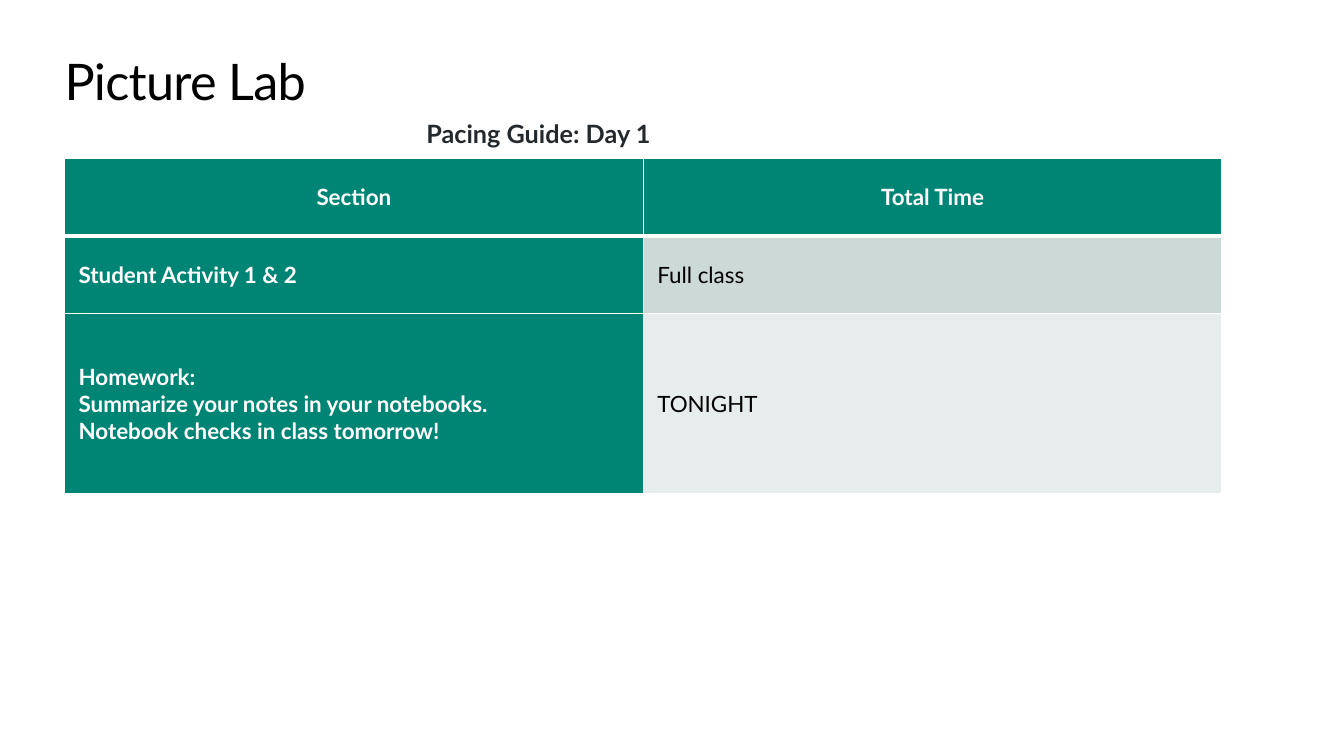
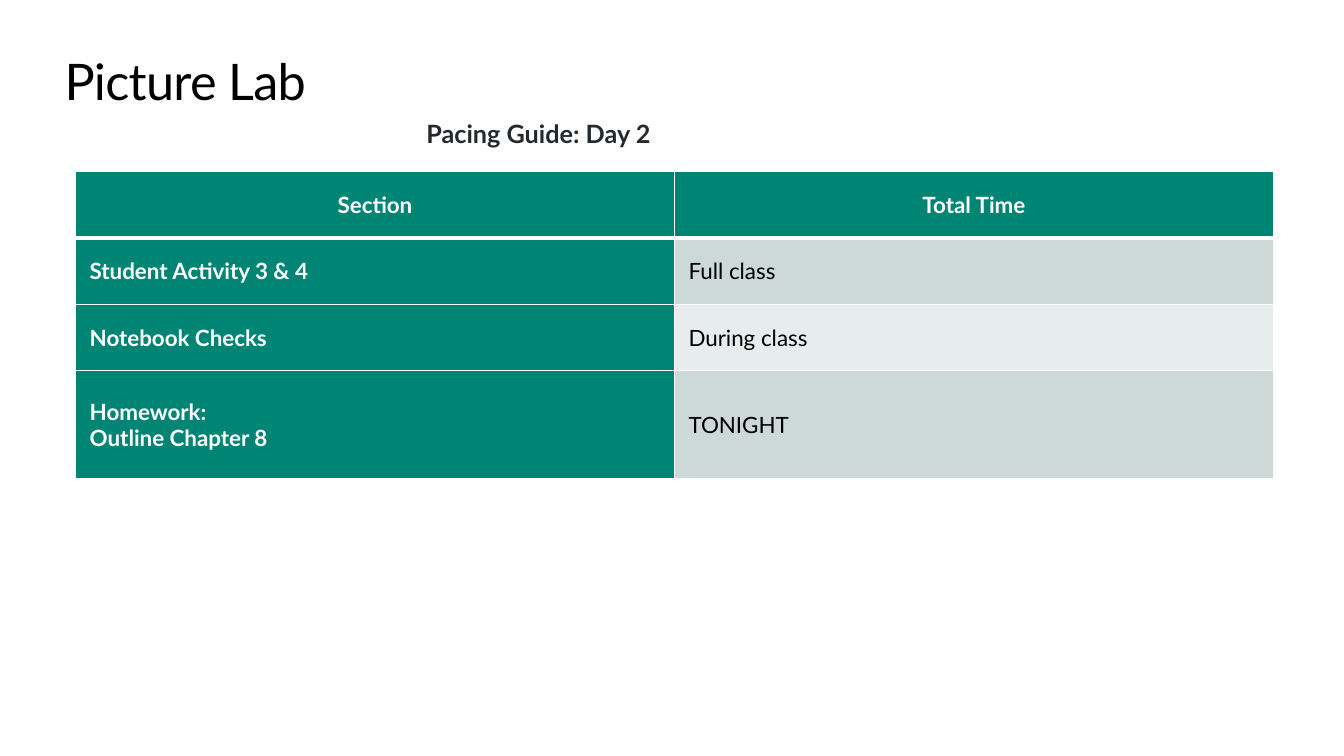
import copy
from dataclasses import dataclass

import lxml.etree
import pptx
import pptx.dml.color
import pptx.enum.text
import pptx.oxml.ns
import pptx.util

Inches = pptx.util.Inches
Pt = pptx.util.Pt
qn = pptx.oxml.ns.qn
Align = pptx.enum.text.PP_ALIGN
Anchor = pptx.enum.text.MSO_ANCHOR
Fit = pptx.enum.text.MSO_AUTO_SIZE


@dataclass(frozen=True)
class Theme:
    font: str = "Lato"
    black: str = "000000"
    white: str = "FFFFFF"
    ink: str = "24292E"
    teal: str = "008575"
    bands: tuple = ("CCD9D6", "E7EDEC")
    title: int = 36
    guide: int = 18
    body: int = 16
    thin: int = 1
    thick: int = 3


theme = Theme()


def write(frame, text, size, color, bold=False, align=Align.LEFT,
          anchor=Anchor.TOP, inset=(0, 0), after=0, track=0):
    """Fill a text frame or cell; inset is (sides, ends) in inches, track in points."""
    frame.margin_left = frame.margin_right = Inches(inset[0])
    frame.margin_top = frame.margin_bottom = Inches(inset[1])
    frame.vertical_anchor = anchor
    para = getattr(frame, "text_frame", frame).paragraphs[0]
    para.text = text
    para.alignment = align
    para.space_after = Pt(after)
    for run in para.runs:
        run.font.name = theme.font
        run.font.size = Pt(size)
        run.font.bold = bold
        run.font.color.rgb = pptx.dml.color.RGBColor.from_string(color)
        if track:
            run.font._element.set("spc", str(round(track * 100)))
    # Line breaks take the size of the text around them
    for gap in para._p.findall(qn("a:br")):
        gap.append(copy.deepcopy(para.runs[0].font._element))


def edge(cell, **widths):
    """Draw white cell borders; widths in points are keyed L, R, T, B."""
    props = cell._tc.get_or_add_tcPr()
    for side, width in widths.items():
        line = lxml.etree.SubElement(props, qn("a:ln" + side), w=str(Pt(width)))
        fill = lxml.etree.SubElement(line, qn("a:solidFill"))
        lxml.etree.SubElement(fill, qn("a:srgbClr"), val=theme.white)


header = ("Section", "Total Time")
days = [
    dict(guide="Pacing Guide: Day 1", left=0.64, top=1.57, width=5.74,
         heights=(0.77, 0.77, 1.79),
         rows=[("Student Activity 1 & 2", "Full class"),
               ("Homework:\nSummarize your notes in your notebooks.\n"
                "Notebook checks in class tomorrow!", "TONIGHT")]),
    dict(guide="Pacing Guide: Day 2", left=0.75, top=1.7, width=5.94,
         heights=(0.66, 0.66, 0.66, 1.07),
         rows=[("Student Activity 3 & 4", "Full class"),
               ("Notebook Checks", "During class"),
               ("Homework:\nOutline Chapter 8", "TONIGHT")]),
]

deck = pptx.Presentation()
deck.slide_width = Inches(13.33)
deck.slide_height = Inches(7.5)
layout = deck.slide_layouts.get_by_name("Title Only")

for day in days:
    slide = deck.slides.add_slide(layout)

    title = slide.shapes.title
    title.left, title.top = Inches(0.64), Inches(0.5)
    title.width, title.height = Inches(12.05), Inches(0.61)
    title.text_frame.auto_size = Fit.SHAPE_TO_FIT_TEXT
    write(title.text_frame, "Picture Lab", theme.title, theme.black, track=-0.5)

    guide = slide.shapes.add_textbox(
        Inches(4.23), Inches(1.17), Inches(3), Inches(0.3))
    guide.text_frame.word_wrap = True
    guide.text_frame.auto_size = Fit.SHAPE_TO_FIT_TEXT
    write(guide.text_frame, day["guide"], theme.guide, theme.ink, bold=True)

    rows = [header, *day["rows"]]
    table = slide.shapes.add_table(
        len(rows), len(header), Inches(day["left"]), Inches(day["top"]),
        Inches(day["width"] * len(header)), Inches(sum(day["heights"]))).table
    for column in table.columns:
        column.width = Inches(day["width"])

    for r, texts in enumerate(rows):
        table.rows[r].height = Inches(day["heights"][r])
        for c, text in enumerate(texts):
            cell = table.cell(r, c)
            head = r == 0
            strong = head or c == 0
            edge(cell, L=theme.thin, R=theme.thin,
                 T=theme.thick if r == 1 else theme.thin,
                 B=theme.thick if head else theme.thin)
            shade = theme.teal if strong else theme.bands[(r - 1) % 2]
            cell.fill.solid()
            cell.fill.fore_color.rgb = pptx.dml.color.RGBColor.from_string(shade)
            write(cell, text, theme.body, theme.white if strong else theme.black,
                  bold=strong, align=Align.CENTER if head else Align.LEFT,
                  anchor=Anchor.MIDDLE, inset=(0.14, 0.06), after=12)

deck.save("out.pptx")
